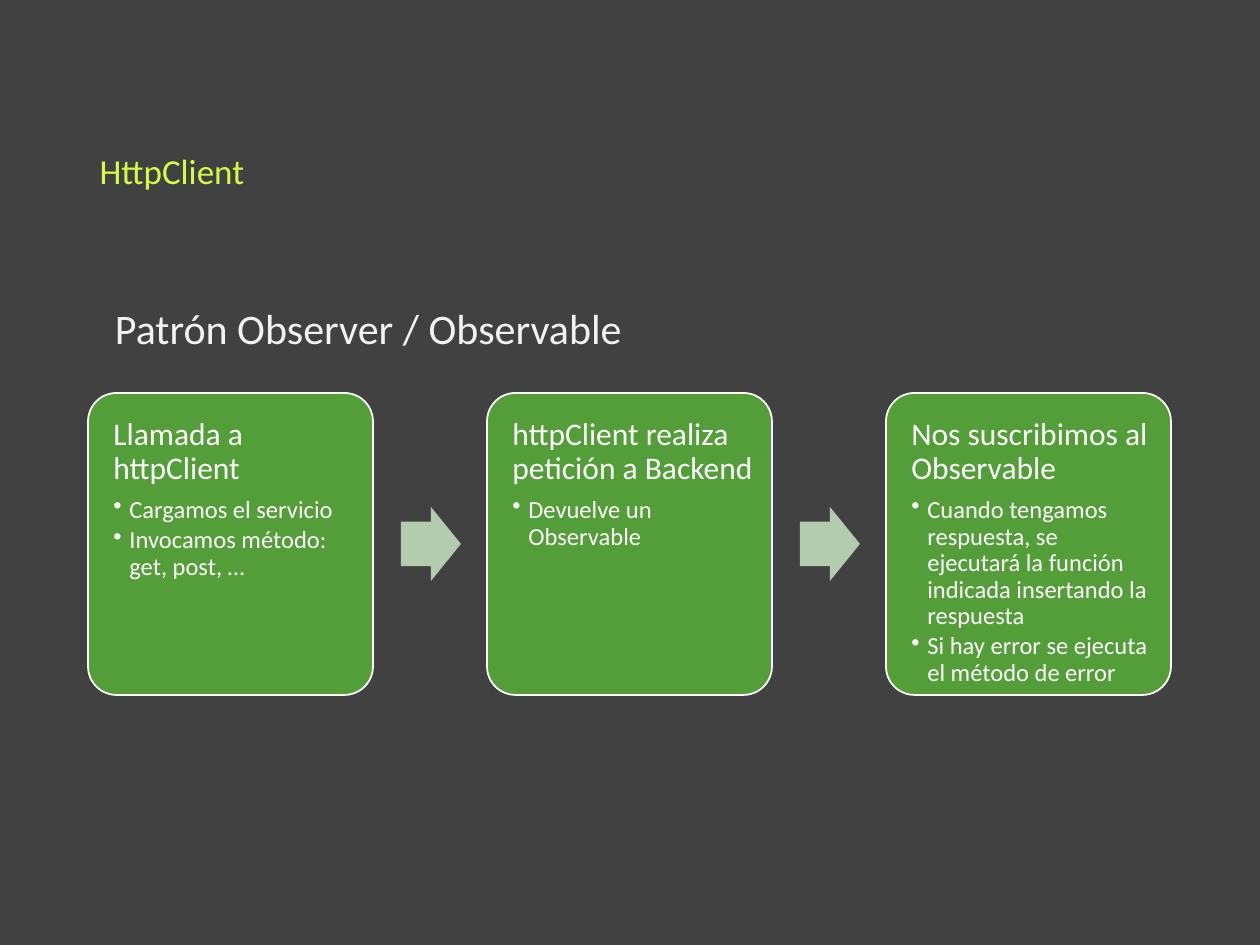
from lxml import etree
from pptx import Presentation
from pptx.dml.color import RGBColor
from pptx.enum.shapes import MSO_SHAPE
from pptx.enum.text import MSO_ANCHOR, MSO_AUTO_SIZE, PP_ALIGN
from pptx.oxml.ns import qn
from pptx.util import Emu, Pt

ROUNDED, ARROW = MSO_SHAPE.ROUNDED_RECTANGLE, MSO_SHAPE.RIGHT_ARROW
TOP, MIDDLE = MSO_ANCHOR.TOP, MSO_ANCHOR.MIDDLE
LEFT = PP_ALIGN.LEFT
NO_AUTOFIT = MSO_AUTO_SIZE.NONE
PX = 7257  # EMU per pixel at 126 pixels to the inch
WHITE, GREEN, PALE_GREEN = "FFFFFF", "549E39", "B3CCAE"


def color(hex_string):
    return RGBColor.from_string(hex_string)


def write(paragraph, text, size, fill=WHITE, line=1.0, after=0, bullet=False):
    paragraph.alignment = LEFT
    paragraph.line_spacing = line
    paragraph.space_before = Pt(0)
    paragraph.space_after = Pt(after)
    if bullet:
        paragraph.level = 1
        properties = paragraph._p.get_or_add_pPr()
        properties.set("marL", str(16 * PX))
        properties.set("indent", str(-16 * PX))
        etree.SubElement(properties, qn("a:buChar")).set("char", "•")
    run = paragraph.add_run()
    run.text = text
    run.font.name = "Calibri"
    run.font.size = Pt(size)
    run.font.color.rgb = color(fill)


presentation = Presentation()
presentation.slide_width, presentation.slide_height = 1260 * PX, 945 * PX
slide = presentation.slides.add_slide(presentation.slide_layouts[5])
slide.background.fill.solid()
slide.background.fill.fore_color.rgb = color("414141")

# Title
title = slide.shapes.title
title.left, title.top, title.width, title.height = [
    Emu(length * PX) for length in (87, 137, 990, 67)]
title.text_frame.vertical_anchor = MIDDLE
title.text_frame.auto_size = NO_AUTOFIT
write(title.text_frame.paragraphs[0], "HttpClient", 20, fill="D6FB47")

# Subtitle
subtitle = slide.shapes.add_textbox(105 * PX, 265 * PX, 126 * PX, 126 * PX)
frame = subtitle.text_frame
frame.word_wrap = False
frame.auto_size = NO_AUTOFIT
frame.vertical_anchor = MIDDLE
frame.margin_left = frame.margin_right = 10 * PX
frame.margin_top = frame.margin_bottom = 5 * PX
write(frame.paragraphs[0], "Patrón Observer / Observable", 24, fill="F2F2F2")

# Process steps, with an arrow between each two
steps = [
    ("Llamada a httpClient",
     ["Cargamos el servicio", "Invocamos método: get, post, …"]),
    ("httpClient realiza petición a Backend",
     ["Devuelve un Observable"]),
    ("Nos suscribimos al Observable",
     ["Cuando tengamos respuesta, se ejecutará la función indicada "
      "insertando la respuesta",
      "Si hay error se ejecuta el método de error"]),
]
STEP_LEFT, STEP_PITCH = 88, 399

for index, (heading, details) in enumerate(steps):
    left = STEP_LEFT + index * STEP_PITCH
    card = slide.shapes.add_shape(
        ROUNDED, left * PX, 393 * PX, 285 * PX, 302 * PX)
    card.adjustments[0] = 0.1
    card.shadow.inherit = False
    card.fill.solid()
    card.fill.fore_color.rgb = color(GREEN)
    card.line.color.rgb = color(WHITE)
    card.line.width = Pt(1)
    frame = card.text_frame
    frame.word_wrap = True
    frame.vertical_anchor = TOP
    frame.margin_left = frame.margin_top = frame.margin_bottom = 17 * PX
    frame.margin_right = 9 * PX
    write(frame.paragraphs[0], heading, 18, line=0.9, after=6.3)
    for detail in details:
        write(frame.add_paragraph(), detail, 14, line=0.9, after=2.1,
              bullet=True)

    if index < len(steps) - 1:
        arrow = slide.shapes.add_shape(
            ARROW, (left + 313) * PX, 507 * PX, 60 * PX, 74 * PX)
        arrow.adjustments[0] = 0.6
        arrow.adjustments[1] = 0.5
        arrow.shadow.inherit = False
        arrow.fill.solid()
        arrow.fill.fore_color.rgb = color(PALE_GREEN)
        arrow.line.fill.background()

presentation.save("out.pptx")
